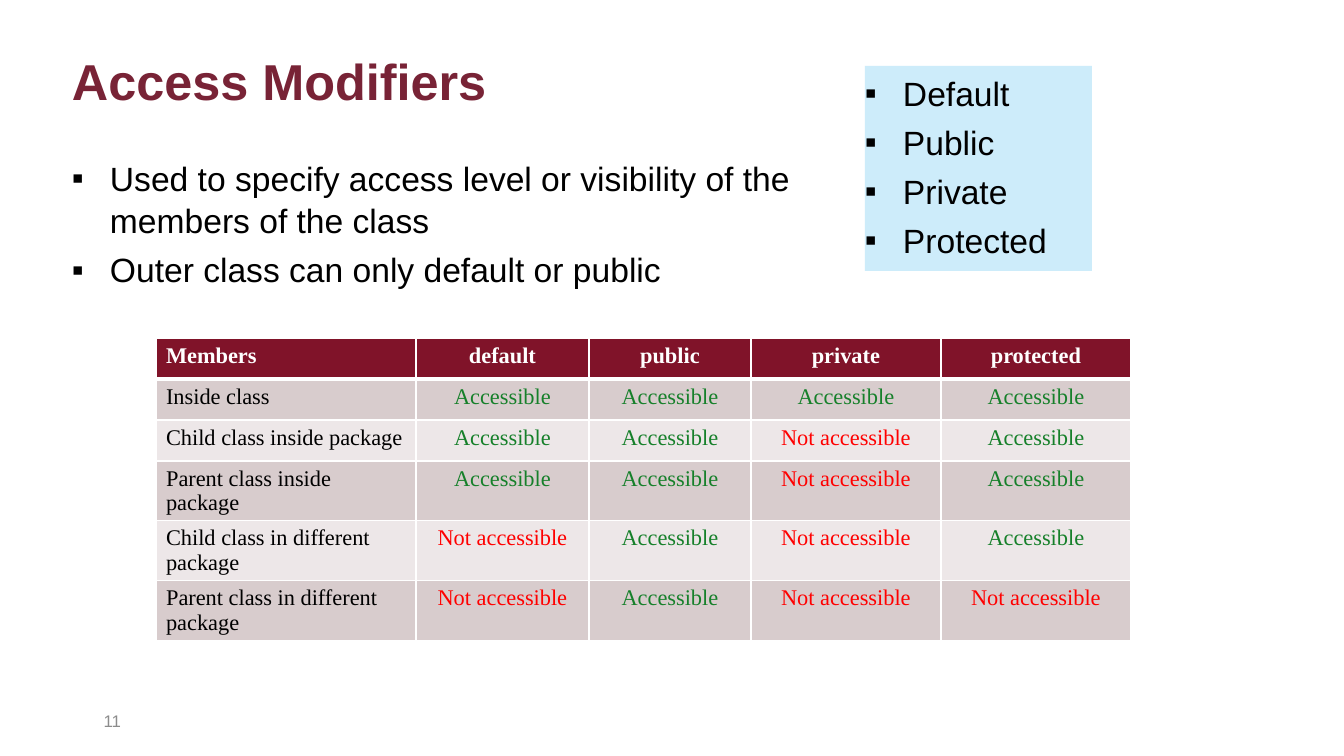
from dataclasses import dataclass

from lxml.etree import SubElement
from pptx import Presentation
from pptx.dml.color import RGBColor
from pptx.enum.shapes import MSO_SHAPE as Shape
from pptx.enum.text import MSO_ANCHOR as Anchor, MSO_AUTO_SIZE as AutoSize, PP_ALIGN as Align
from pptx.oxml.ns import qn
from pptx.util import Emu, Pt

EMU_PER_PX = 914400 / 100.8


@dataclass(frozen=True)
class Theme:
    """Fonts, type sizes and colours of the slide."""
    sans: str = "Arial"
    serif: str = "Times New Roman"
    title_size: int = 36
    body_size: int = 24
    table_size: int = 16
    number_size: int = 12
    line_spacing: float = 1.05
    title: str = "782336"
    text: str = "000000"
    number: str = "8C8C8C"
    panel: str = "CDECFA"
    white: str = "FFFFFF"
    header: str = "801329"
    bands: tuple = ("D8CCCD", "EDE7E8")
    accessible: str = "16802A"
    blocked: str = "FF0000"


THEME = Theme()
YES, NO = "Accessible", "Not accessible"
RULES = ["Used to specify access level or visibility of the members of the class",
         "Outer class can only default or public"]
MODIFIERS = ["Default", "Public", "Private", "Protected"]
COLUMNS = [260, 173, 162, 190, 190]
ROW_HEIGHT = 41
ACCESS = [
    ["Members", "default", "public", "private", "protected"],
    ["Inside class", YES, YES, YES, YES],
    ["Child class inside package", YES, YES, NO, YES],
    ["Parent class inside package", YES, YES, NO, YES],
    ["Child class in different package", NO, YES, NO, YES],
    ["Parent class in different package", NO, YES, NO, NO],
]


def px(length):
    """Turn whole pixels into EMU."""
    return Emu(round(length * EMU_PER_PX))


def apply(target, values):
    """Set attributes from a dict of format values."""
    for name, value in values.items():
        setattr(target, name, value)


def place(shape, left, top, width, height):
    """Move and size a shape in pixels."""
    apply(shape, {"left": px(left), "top": px(top), "width": px(width), "height": px(height)})


def paint(target, color):
    """Give a shape or cell a solid fill."""
    target.fill.solid()
    target.fill.fore_color.rgb = RGBColor.from_string(color)


def write(paragraph, text, color, size, font=THEME.sans, bold=False, align=Align.LEFT):
    """Write one formatted run into a paragraph."""
    paragraph.alignment = align
    run = paragraph.add_run()
    run.text = text
    apply(run.font, {"name": font, "size": Pt(size), "bold": bold})
    run.font.color.rgb = RGBColor.from_string(color)


def frame_text(shape, anchor=Anchor.TOP, left_inset=0):
    """Prepare a text frame and return it."""
    frame = shape.text_frame
    apply(frame, {"word_wrap": True, "auto_size": AutoSize.NONE, "vertical_anchor": anchor,
                  "margin_left": px(left_inset), "margin_right": px(10),
                  "margin_top": px(5), "margin_bottom": px(5)})
    return frame


def add_title(slide, text, box):
    """Place and format the title placeholder."""
    title = slide.shapes.title
    place(title, *box)
    paragraph = frame_text(title).paragraphs[0]
    paragraph.line_spacing = THEME.line_spacing
    write(paragraph, text, THEME.title, THEME.title_size, bold=True)


def fill_bullets(shape, items):
    """Write square-bulleted paragraphs into a shape."""
    frame = frame_text(shape)
    for index, item in enumerate(items):
        paragraph = frame.add_paragraph() if index else frame.paragraphs[0]
        paragraph.line_spacing = THEME.line_spacing
        if index:
            paragraph.space_before = Pt(THEME.body_size * 0.2)
        properties = paragraph._p.get_or_add_pPr()
        properties.set("marL", str(px(38)))
        properties.set("indent", str(-px(38)))
        SubElement(properties, qn("a:buFont"), typeface=THEME.sans)
        SubElement(properties, qn("a:buChar"), char="▪")
        write(paragraph, item, THEME.text, THEME.body_size)


def add_text_box(slide, box):
    """Add an empty text box."""
    return slide.shapes.add_textbox(*map(px, box))


def add_panel(slide, box):
    """Add a plain filled rectangle."""
    panel = slide.shapes.add_shape(Shape.RECTANGLE, *map(px, box))
    panel.shadow.inherit = False
    panel.line.fill.background()
    paint(panel, THEME.panel)
    return panel


def add_borders(cell, widths):
    """Draw white cell borders, widths in points by side."""
    properties = cell._tc.get_or_add_tcPr()
    for side, width in widths.items():
        line = SubElement(properties, qn(f"a:ln{side}"), w=str(Pt(width)))
        SubElement(SubElement(line, qn("a:solidFill")), qn("a:srgbClr"), val=THEME.white)


def add_access_table(slide, left, top):
    """Add the table of access by modifier."""
    size = sum(COLUMNS), ROW_HEIGHT * len(ACCESS)
    table = slide.shapes.add_table(len(ACCESS), len(COLUMNS), *map(px, (left, top, *size))).table
    for column, width in zip(table.columns, COLUMNS):
        column.width = px(width)
    text_colors = {YES: THEME.accessible, NO: THEME.blocked}
    for row, texts in enumerate(ACCESS):
        header = row == 0
        fill = THEME.header if header else THEME.bands[(row - 1) % 2]
        borders = {"L": 1, "R": 1, "T": 3 if row == 1 else 1, "B": 3 if header else 1}
        for column, text in enumerate(texts):
            cell = table.cell(row, column)
            add_borders(cell, borders)
            paint(cell, fill)
            color = THEME.white if header else text_colors.get(text, THEME.text)
            write(cell.text_frame.paragraphs[0], text, color, THEME.table_size, THEME.serif,
                  header, Align.CENTER if column else Align.LEFT)


def add_slide_number(slide, text, box):
    """Add the slide number."""
    frame = frame_text(add_text_box(slide, box), Anchor.MIDDLE, 10)
    write(frame.paragraphs[0], text, THEME.number, THEME.number_size, align=Align.RIGHT)


def main():
    """Build the slide and save it."""
    presentation = Presentation()
    apply(presentation, {"slide_width": px(1344), "slide_height": px(756)})
    slide = presentation.slides.add_slide(presentation.slide_layouts[5])
    add_title(slide, "Access Modifiers", (72, 42, 1142, 126))
    fill_bullets(add_text_box(slide, (72, 151, 776, 159)), RULES)
    add_slide_number(slide, "11", (84, 701, 47, 40))
    fill_bullets(add_panel(slide, (865, 66, 227, 205)), MODIFIERS)
    add_access_table(slide, 156, 338)
    presentation.save("out.pptx")


if __name__ == "__main__":
    main()
